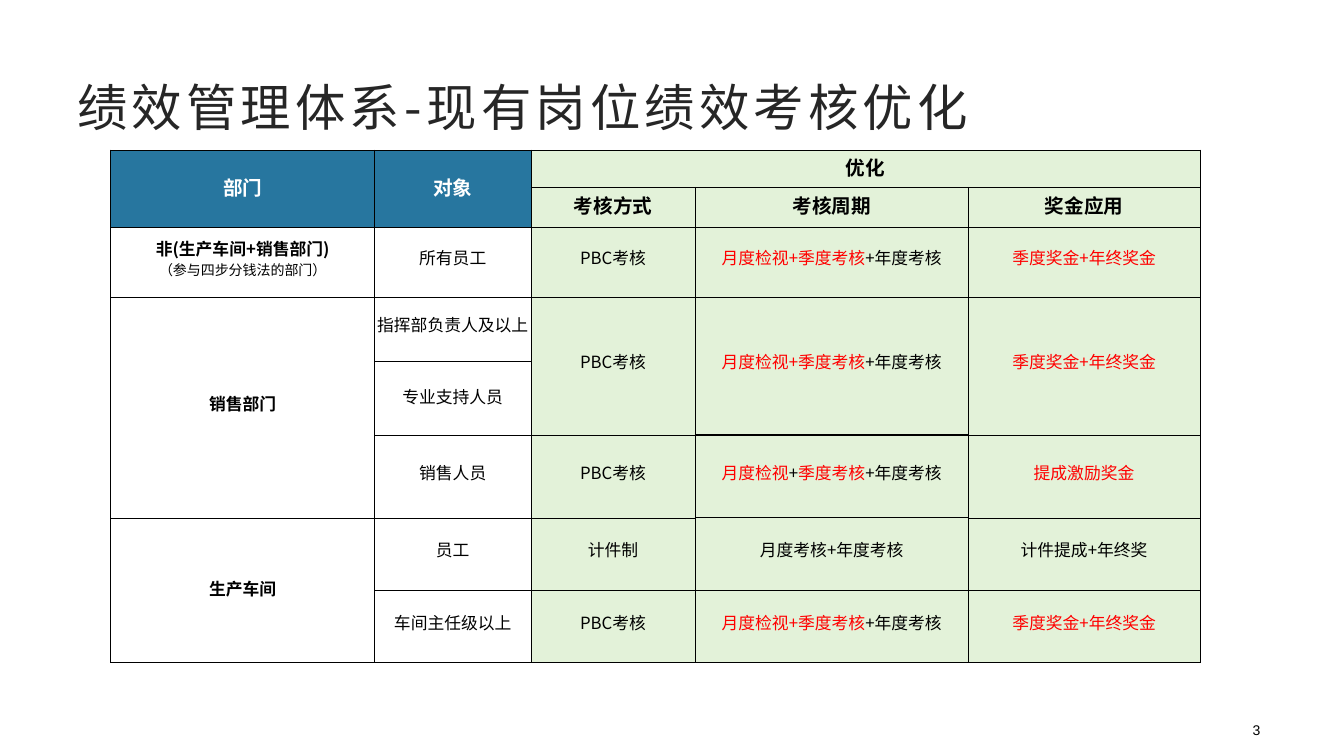
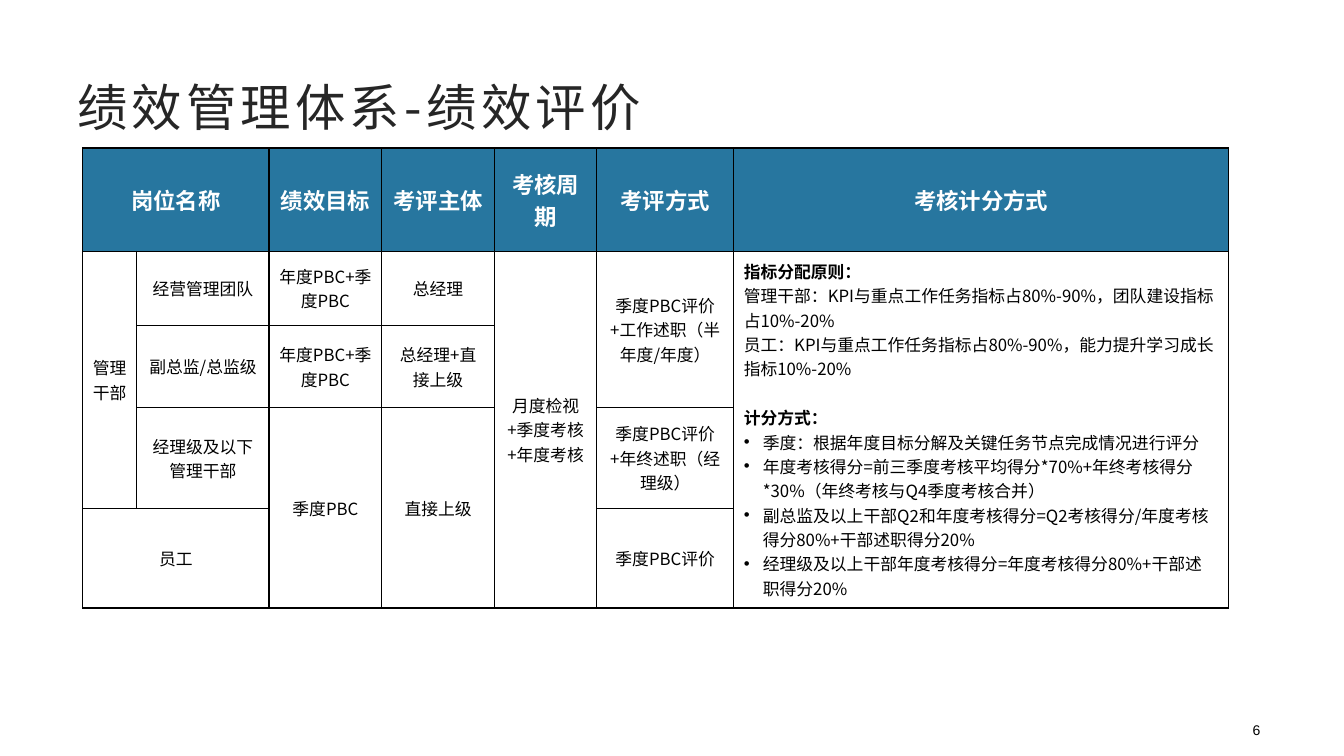
from dataclasses import dataclass

from lxml import etree
from pptx import Presentation
from pptx.dml.color import RGBColor
from pptx.enum.text import MSO_ANCHOR, PP_ALIGN
from pptx.oxml.ns import qn
from pptx.util import Cm, Pt

LEFT, CENTER, RIGHT = PP_ALIGN.LEFT, PP_ALIGN.CENTER, PP_ALIGN.RIGHT
MIDDLE = MSO_ANCHOR.MIDDLE

# Shared look
BLUE, GREEN, WHITE = "27769F", "E3F2D9", "FFFFFF"
BLACK, RED, TITLE_GREY = "000000", "FF0000", "262626"
HEAD_FONT, BODY_FONT, NUMBER_FONT = "Noto Sans CJK JP", "Noto Sans CJK SC", "Arial"
BULLET_INDENT = Cm(0.48)


@dataclass
class Line:
    """One paragraph; text is a string or a list of (text, colour) spans."""
    text: object
    size: float = 12
    bold: bool = False
    color: str = BLACK
    font: str = HEAD_FONT
    align: int = CENTER
    leading: float = 0
    before: float = 0
    bullet: bool = False
    tracking: float = 0


def rgb(value):
    return RGBColor.from_string(value)


# Text
def add_bullet(para):
    props = para._p.get_or_add_pPr()
    props.set("marL", str(BULLET_INDENT))
    props.set("indent", str(-BULLET_INDENT))
    etree.SubElement(props, qn("a:buFont")).set("typeface", "Arial")
    etree.SubElement(props, qn("a:buChar")).set("char", "•")


def write_line(para, line):
    para.alignment = line.align
    if line.leading:
        para.line_spacing = Pt(line.leading)
    if line.before:
        para.space_before = Pt(line.before)
    if line.bullet:
        add_bullet(para)
    font = para.font
    font.size, font.bold, font.name = Pt(line.size), line.bold, line.font
    defaults = para._p.pPr.find(qn("a:defRPr"))
    etree.SubElement(defaults, qn("a:ea")).set("typeface", line.font)
    if line.tracking:
        defaults.set("spc", str(int(line.tracking * 100)))
    if isinstance(line.text, str):
        font.color.rgb = rgb(line.color)
        para.add_run().text = line.text
        return
    for text, color in line.text:
        span = para.add_run()
        span.text = text
        span.font.color.rgb = rgb(color)


def write_lines(frame, lines):
    frame.word_wrap = True
    for index, line in enumerate(lines):
        para = frame.add_paragraph() if index else frame.paragraphs[0]
        write_line(para, line)


def add_text(page, left, top, width, height, line):
    box = page.shapes.add_textbox(Cm(left), Cm(top), Cm(width), Cm(height))
    write_lines(box.text_frame, [line])
    return box


def add_page(deck, title, number):
    page = deck.slides.add_slide(deck.slide_layouts[6])
    box = add_text(page, 1.7, 1.7, 30.48, 1.96,
                   Line(title, 36, color=TITLE_GREY, align=LEFT, tracking=3))
    box.text_frame.vertical_anchor = MIDDLE
    add_text(page, 23.93, 18.06, 8.08, 0.58,
             Line(str(number), 10, font=NUMBER_FONT, align=RIGHT))
    return page


# Tables
def add_borders(cell, top, bottom, sides):
    props = cell._tc.get_or_add_tcPr()
    for tag, width in (("lnL", sides), ("lnR", sides), ("lnT", top), ("lnB", bottom)):
        edge = etree.SubElement(props, qn("a:" + tag), w=str(Pt(width)))
        fill = etree.SubElement(edge, qn("a:solidFill"))
        etree.SubElement(fill, qn("a:srgbClr")).set("val", BLACK)


def add_table(page, left, top, widths, heights, merges):
    frame = page.shapes.add_table(len(heights), len(widths), Cm(left), Cm(top),
                                  Cm(sum(widths)), Cm(sum(heights)))
    table = frame.table
    table.first_row = table.horz_banding = False
    for column, width in zip(table.columns, widths):
        column.width = Cm(width)
    for row, height in zip(table.rows, heights):
        row.height = Cm(height)
    for row, column, row_span, column_span in merges:
        last = table.cell(row + row_span - 1, column + column_span - 1)
        table.cell(row, column).merge(last)
    return table


def fill_table(table, rows, make_line, fill_of, edges_of, margins=None):
    """Content is None (merged away), a string, or a list of lines."""
    for r, row in enumerate(rows):
        for c, content in enumerate(row):
            cell = table.cell(r, c)
            add_borders(cell, *edges_of(r, c))
            cell.fill.solid()
            cell.fill.fore_color.rgb = rgb(fill_of(r, c))
            cell.vertical_anchor = MIDDLE
            if margins:
                (cell.margin_left, cell.margin_top,
                 cell.margin_right, cell.margin_bottom) = map(Cm, margins)
            if content is None:
                continue
            lines = [make_line(r, c, content)] if isinstance(content, str) else content
            write_lines(cell.text_frame, lines)


# Slide: assessment by position
def build_positions(deck):
    page = add_page(deck, "绩效管理体系-现有岗位绩效考核优化", 3)
    merges = [(0, 0, 2, 1), (0, 1, 2, 1), (0, 2, 1, 3), (3, 0, 3, 1),
              (3, 2, 2, 1), (3, 3, 2, 1), (3, 4, 2, 1), (6, 0, 2, 1)]
    table = add_table(page, 2.79, 3.78, [6.65, 3.94, 4.14, 6.88, 5.84],
                      [0.94, 1, 1.76, 1.62, 1.86, 2.09, 1.82, 1.82], merges)

    def body(text, **style):
        return Line(text, font=BODY_FONT, **style)

    cycle = [body([("月度检视+季度考核", RED), ("+年度考核", BLACK)], leading=14)]
    split_cycle = [body([("月度检视", RED), ("+", BLACK), ("季度考核", RED),
                         ("+年度考核", BLACK)], leading=14)]
    bonus = [body("季度奖金+年终奖金", color=RED, leading=14)]
    commission = [body("提成激励奖金", color=RED, leading=14)]
    office = [body("非(生产车间+销售部门)", bold=True, leading=14),
              body("（参与四步分钱法的部门）", size=10, leading=14)]
    pbc = "PBC考核"
    rows = [
        ["部门", "对象", "优化", None, None],
        [None, None, "考核方式", "考核周期", "奖金应用"],
        [office, "所有员工", pbc, cycle, bonus],
        ["销售部门", "指挥部负责人及以上", pbc, cycle, bonus],
        [None, [body("专业支持人员")], None, None, None],
        [None, "销售人员", pbc, split_cycle, commission],
        [[body("生产车间", bold=True)], "员工", "计件制", "月度考核+年度考核", "计件提成+年终奖"],
        [None, "车间主任级以上", pbc, cycle, bonus],
    ]

    def make_line(r, c, text):
        if r < 2:
            return Line(text, 14, bold=True, color=WHITE if c < 2 else BLACK)
        return body(text, bold=c == 0, leading=14)

    def fill_of(r, c):
        if c > 1:
            return GREEN
        return BLUE if r < 2 else WHITE

    def edges_of(r, c):
        heavy = c == 3
        return (1 if heavy and r > 4 else 0.5, 1 if heavy and r > 2 else 0.5, 0.5)

    fill_table(table, rows, make_line, fill_of, edges_of, (0.03, 0.03, 0.03, 0.13))


# Slide: evaluation and scoring
def build_evaluation(deck):
    page = add_page(deck, "绩效管理体系-绩效评价", 6)
    merges = [(0, 0, 1, 2), (1, 0, 3, 1), (1, 4, 4, 1), (1, 5, 2, 1),
              (1, 6, 4, 1), (3, 2, 2, 1), (3, 3, 2, 1), (4, 0, 1, 2)]
    table = add_table(page, 2.08, 3.73, [1.37, 3.33, 2.84, 2.84, 2.58, 3.45, 12.47],
                      [2.6, 1.88, 2.06, 2.54, 2.51], merges)
    principles = ["管理干部：KPI与重点工作任务指标占80%-90%，团队建设指标占10%-20%",
                  "员工：KPI与重点工作任务指标占80%-90%，能力提升学习成长指标10%-20%"]
    scores = ["季度：根据年度目标分解及关键任务节点完成情况进行评分",
              "年度考核得分=前三季度考核平均得分*70%+年终考核得分*30%（年终考核与Q4季度考核合并）",
              "副总监及以上干部Q2和年度考核得分=Q2考核得分/年度考核得分80%+干部述职得分20%",
              "经理级及以上干部年度考核得分=年度考核得分80%+干部述职得分20%"]
    scoring = [Line("指标分配原则：", bold=True, align=LEFT),
               *(Line(text, align=LEFT) for text in principles),
               Line("计分方式：", bold=True, align=LEFT, before=17.4),
               *(Line(text, align=LEFT, bullet=True) for text in scores)]
    goal = "年度PBC+季度PBC"
    rows = [
        ["岗位名称", None, "绩效目标", "考评主体", "考核周期", "考评方式", "考核计分方式"],
        ["管理干部", "经营管理团队", goal, "总经理", "月度检视+季度考核+年度考核",
         "季度PBC评价+工作述职（半年度/年度）", scoring],
        [None, "副总监/总监级", goal, "总经理+直接上级", None, None, None],
        [None, "经理级及以下管理干部", "季度PBC", "直接上级", None,
         "季度PBC评价+年终述职（经理级）", None],
        ["员工", None, None, None, None, "季度PBC评价", None],
    ]

    def make_line(r, c, text):
        return Line(text) if r else Line(text, 16, bold=True, color=WHITE)

    fill_table(table, rows, make_line, lambda r, c: WHITE if r else BLUE,
               lambda r, c: (1, 1, 1))


def main():
    deck = Presentation()
    deck.slide_width, deck.slide_height = Cm(33.87), Cm(19.05)
    build_positions(deck)
    build_evaluation(deck)
    deck.save("out.pptx")


if __name__ == "__main__":
    main()
